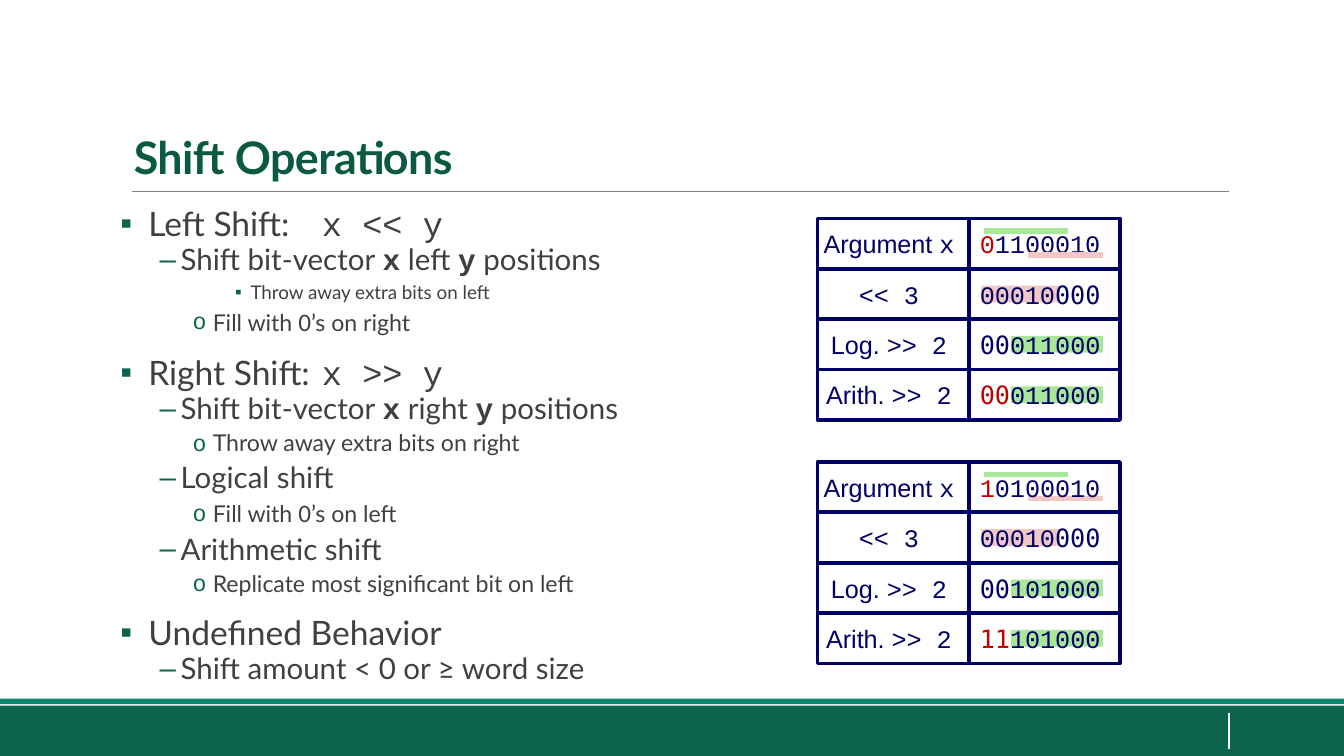
import dataclasses

import lxml.etree
import pptx
import pptx.dml.color
import pptx.enum.shapes
import pptx.enum.text
import pptx.oxml.ns
import pptx.util

EMU_PER_PX = 9525  # 96 px to the inch
qn = pptx.oxml.ns.qn


@dataclasses.dataclass(frozen=True)
class Theme:
    title: str = "0B5943"
    text: str = "404040"
    bullet: str = "0B644D"
    footer: str = "0B654D"
    stripe: str = "0A8669"
    rule: str = "808080"
    white: str = "FFFFFF"
    navy: str = "000066"
    red: str = "C00000"
    green: str = "A8E799"
    pink: str = "F1C7C7"
    font: str = "Lato"
    label: str = "Arial"
    code: str = "Courier New"
    mono: str = "DejaVu Sans Mono"
    digit: str = "Calibri"
    title_size: float = 24
    cell_size: float = 13.5
    level_sizes: tuple = (18, 15.8, 12.4, 10.1)


T = Theme()
# margin and hanging indent in px, bullet character, for each list level
LEVELS = ((20, 20, "▪"), (43, 15, "–"), (66, 14, "o"), (93, 11, "▪"))
TAB = 144


def px(n):
    return pptx.util.Emu(n * EMU_PER_PX)


def rgb(color):
    return pptx.dml.color.RGBColor.from_string(color)


def add_run(p, text, font=T.font, size=T.cell_size, color=T.text, bold=False, spacing=None):
    r = p.add_run()
    r.text = text
    r.font.name, r.font.size, r.font.bold = font, pptx.util.Pt(size), bold
    r.font.color.rgb = rgb(color)
    if spacing is not None:
        r.font._element.set("spc", str(spacing))


def set_margins(tf, left, top, right, bottom):
    tf.margin_left, tf.margin_top = px(left), px(top)
    tf.margin_right, tf.margin_bottom = px(right), px(bottom)


class Deck:
    def __init__(self, width, height):
        self.prs = pptx.Presentation()
        self.prs.slide_width, self.prs.slide_height = px(width), px(height)
        self.s = self.prs.slides.add_slide(self.prs.slide_layouts[1])

    def rect(self, x, y, w, h, fill=None, line=None):
        sp = self.s.shapes.add_shape(
            pptx.enum.shapes.MSO_SHAPE.RECTANGLE, px(x), px(y), px(w), px(h))
        sp.shadow.inherit = False
        if fill:
            sp.fill.solid()
            sp.fill.fore_color.rgb = rgb(fill)
        else:
            sp.fill.background()
        if line:
            sp.line.color.rgb = rgb(line)
            sp.line.width = pptx.util.Pt(2)
        else:
            sp.line.fill.background()
        return sp

    def line(self, x1, y1, x2, y2, color, width):
        c = self.s.shapes.add_connector(
            pptx.enum.shapes.MSO_CONNECTOR.STRAIGHT, px(x1), px(y1), px(x2), px(y2))
        c.line.color.rgb = rgb(color)
        c.line.width = pptx.util.Pt(width)
        lxml.etree.SubElement(c._element.spPr, qn("a:effectLst"))

    def cell(self, x, y, w, h, runs):
        tf = self.rect(x, y, w, h, line=T.navy).text_frame
        set_margins(tf, 4, 4, 10, 4)
        tf.word_wrap = False
        tf.vertical_anchor = pptx.enum.text.MSO_ANCHOR.MIDDLE
        p = tf.paragraphs[0]
        p.alignment = pptx.enum.text.PP_ALIGN.CENTER
        for text, fmt in runs:
            add_run(p, text, **{"color": T.navy, **fmt})

    def placeholder(self, sp, x, y, w, h, anchor):
        sp.left, sp.top, sp.width, sp.height = px(x), px(y), px(w), px(h)
        tf = sp.text_frame
        tf.word_wrap = True
        tf.auto_size = pptx.enum.text.MSO_AUTO_SIZE.NONE
        tf.vertical_anchor = anchor
        return tf

    def title(self, text, x, y, w, h):
        tf = self.placeholder(self.s.shapes.title, x, y, w, h,
                              pptx.enum.text.MSO_ANCHOR.BOTTOM)
        p = tf.paragraphs[0]
        p.alignment = pptx.enum.text.PP_ALIGN.LEFT
        p.line_spacing = 0.85
        add_run(p, text, size=T.title_size, color=T.title, bold=True, spacing=-30)

    def bullets(self, items, x, y, w, h):
        tf = self.placeholder(self.s.placeholders[1], x, y, w, h,
                              pptx.enum.text.MSO_ANCHOR.TOP)
        set_margins(tf, 0, 0, 0, 5)
        for i, (level, runs) in enumerate(items):
            p = tf.add_paragraph() if i else tf.paragraphs[0]
            self.format_bullet(p, level)
            p.space_before = pptx.util.Pt((1.1 if level else 5.6) if i else 0)
            p.space_after = pptx.util.Pt(2.2 if level else 0)
            p.line_spacing = 0.9 if level else 1.0
            for text, fmt in runs:
                add_run(p, text, **{"size": T.level_sizes[level], **fmt})

    def format_bullet(self, p, level):
        margin, hang, char = LEVELS[level]
        p.level = level
        pPr = p._p.get_or_add_pPr()
        pPr.set("marL", str(px(margin)))
        pPr.set("indent", str(-px(hang)))
        clr = lxml.etree.SubElement(pPr, qn("a:buClr"))
        lxml.etree.SubElement(clr, qn("a:srgbClr"), val=T.bullet)
        lxml.etree.SubElement(pPr, qn("a:buChar"), char=char)
        if level == 0:
            tabs = lxml.etree.SubElement(pPr, qn("a:tabLst"))
            lxml.etree.SubElement(tabs, qn("a:tab"), pos=str(px(TAB)), algn="l")

    def argument_bars(self, top):
        self.line(788, top + 26, 734, top + 26, T.pink, 3)
        self.line(763, top + 9, 703, top + 9, T.green, 3)

    def shift_grid(self, top, argument, left, logical, arithmetic):
        """Each value is a pair: leading bits and remaining bits."""
        code, mono, label = {"font": T.code}, {"font": T.mono}, {"font": T.label}
        red = {"color": T.red}
        rows = (
            ("Argument ", "x", argument, {**code, **red}, code),
            ("", "<< 3", left, code, mono),
            ("Log. ", ">> 2", logical, mono, code),
            ("Arith. ", ">> 2", arithmetic, {**mono, **red}, code),
        )
        col_w, row_h = 108, 36
        marks = (None, (701, 56, T.pink), (722, 66, T.green), (722, 66, T.green))
        for i, ((name, op, bits, head, tail), mark) in enumerate(zip(rows, marks)):
            y = top + i * row_h
            if mark:
                x, w, color = mark
                self.rect(x, y + 12, w, 12, fill=color)
            names = [(name, label)] if name else []
            self.cell(584, y, col_w, row_h, names + [(op, code)])
            self.cell(584 + col_w, y, col_w, row_h, list(zip(bits, (head, tail))))

    def frame(self):
        """Footer band, stripe, title rule and page-number tick."""
        self.rect(0, 504, 960, 36, fill=T.footer)
        self.line(94, 137, 878, 137, T.rule, 0.5)
        self.rect(0, 499, 960, 4, fill=T.stripe)
        self.line(878, 509, 878, 535, T.white, 1)


def shift_text(direction):
    var = {"font": T.code, "bold": True}
    return [("Shift bit-vector ", {}), ("x", var), (f" {direction} ", {}),
            ("y", var), (" positions", {})]


def fill_text(side):
    return [("Fill with ", {}), ("0", {"font": T.digit, "size": 13.5}),
            (f"’s on {side}", {})]


def main():
    deck = Deck(960, 540)
    deck.frame()
    deck.title("Shift Operations", 86, 22, 792, 114)
    code = {"font": T.code}
    deck.bullets([
        (0, [("Left Shift: \t", {}), ("x << y", code)]),
        (1, shift_text("left")),
        (3, [("Throw away extra bits on left", {})]),
        (2, fill_text("right")),
        (0, [("Right Shift: \t", {}), ("x >> y", code)]),
        (1, shift_text("right")),
        (2, [("Throw away extra bits on right", {})]),
        (1, [("Logical shift", {})]),
        (2, fill_text("left")),
        (1, [("Arithmetic shift", {})]),
        (2, [("Replicate most significant bit on left", {})]),
        (0, [("Undefined Behavior", {})]),
        (1, [("Shift amount < 0 or ≥ word size", {})]),
    ], 86, 145, 792, 317)
    first, second = 156, 330
    deck.argument_bars(second)
    deck.shift_grid(first, ("0", "1100010"), ("00010", "000"),
                    ("00", "011000"), ("00", "011000"))
    deck.shift_grid(second, ("1", "0100010"), ("00010", "000"),
                    ("00", "101000"), ("11", "101000"))
    deck.argument_bars(first)
    deck.prs.save("out.pptx")


if __name__ == "__main__":
    main()
